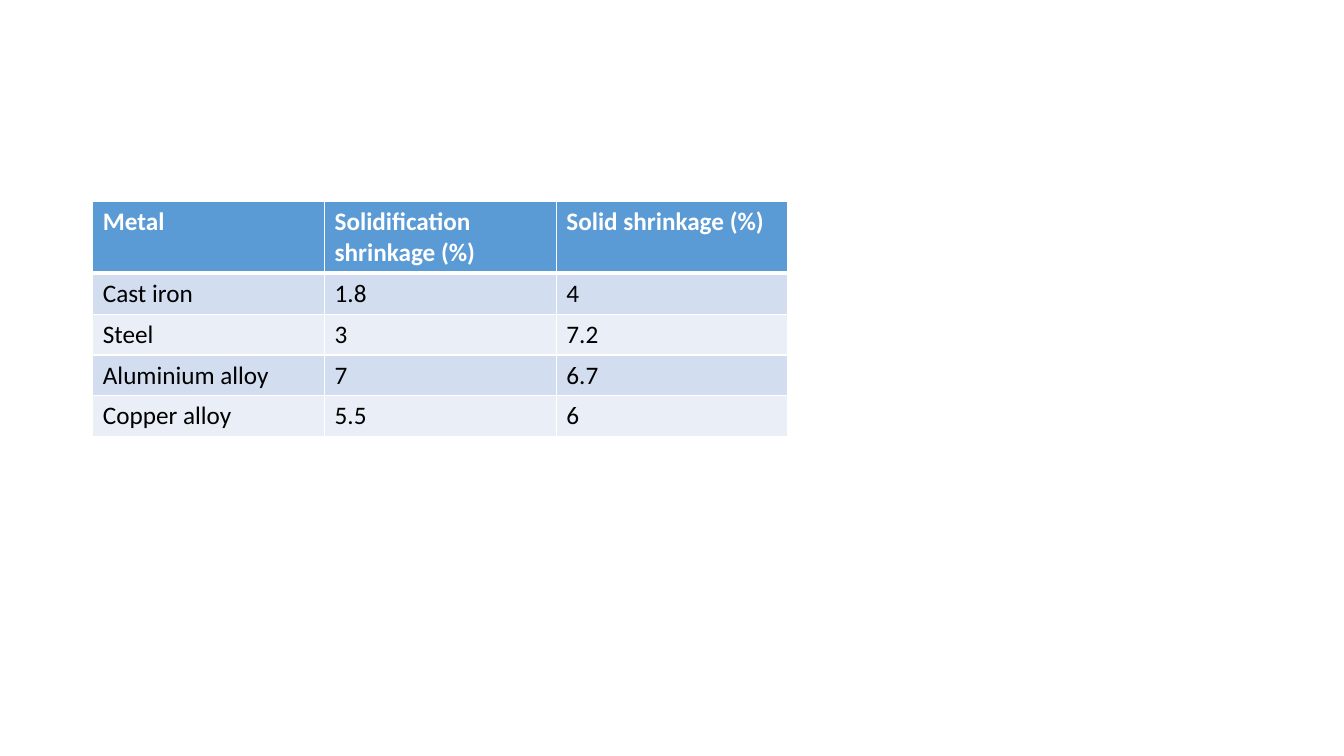
from lxml import etree
from pptx import Presentation
from pptx import util as u
from pptx.dml.color import RGBColor
from pptx.oxml.ns import qn

WHITE, BLACK = "FFFFFF", "000000"
HEADER_FILL = "5B9BD5"
BAND_FILLS = ["D2DEEF", "EAEFF7"]

SHRINKAGE = [
    ["Metal", "Solidification shrinkage (%)", "Solid shrinkage (%)"],
    ["Cast iron", "1.8", "4"],
    ["Steel", "3", "7.2"],
    ["Aluminium alloy", "7", "6.7"],
    ["Copper alloy", "5.5", "6"],
]


def color(hex_value):
    return RGBColor.from_string(hex_value)


def add_borders(cell, top, bottom):
    properties = cell._tc.get_or_add_tcPr()
    for side, points in (("L", 1), ("R", 1), ("T", top), ("B", bottom)):
        border = etree.SubElement(properties, qn(f"a:ln{side}"), w=str(u.Pt(points)))
        fill = etree.SubElement(border, qn("a:solidFill"))
        etree.SubElement(fill, qn("a:srgbClr"), val=WHITE)


def fill_cell(cell, wording, row):
    is_header = row == 0
    add_borders(cell, top=3 if row == 1 else 1, bottom=3 if is_header else 1)
    cell.fill.solid()
    cell.fill.fore_color.rgb = color(HEADER_FILL if is_header else BAND_FILLS[(row - 1) % 2])
    run = cell.text_frame.paragraphs[0].add_run()
    run.text = wording
    run.font.name = "Calibri"
    run.font.size = u.Pt(18)
    run.font.bold = is_header
    run.font.color.rgb = color(WHITE if is_header else BLACK)


def add_shrinkage_table(slide, left, top, width, header_height, row_height):
    row_count, column_count = len(SHRINKAGE), len(SHRINKAGE[0])
    height = header_height + row_height * (row_count - 1)
    metals = slide.shapes.add_table(row_count, column_count, left, top, width, height).table
    for column in metals.columns:
        column.width = width // column_count
    for row, wordings in enumerate(SHRINKAGE):
        metals.rows[row].height = row_height if row else header_height
        for column, wording in enumerate(wordings):
            fill_cell(metals.cell(row, column), wording, row)


def main():
    deck = Presentation()
    deck.slide_width, deck.slide_height = u.Cm(33.87), u.Cm(19.05)
    slide = deck.slides.add_slide(deck.slide_layouts[6])
    add_shrinkage_table(slide, u.Cm(2.34), u.Cm(5.08), u.Cm(17.52), u.Cm(1.78), u.Cm(1.03))
    deck.save("out.pptx")


if __name__ == "__main__":
    main()
